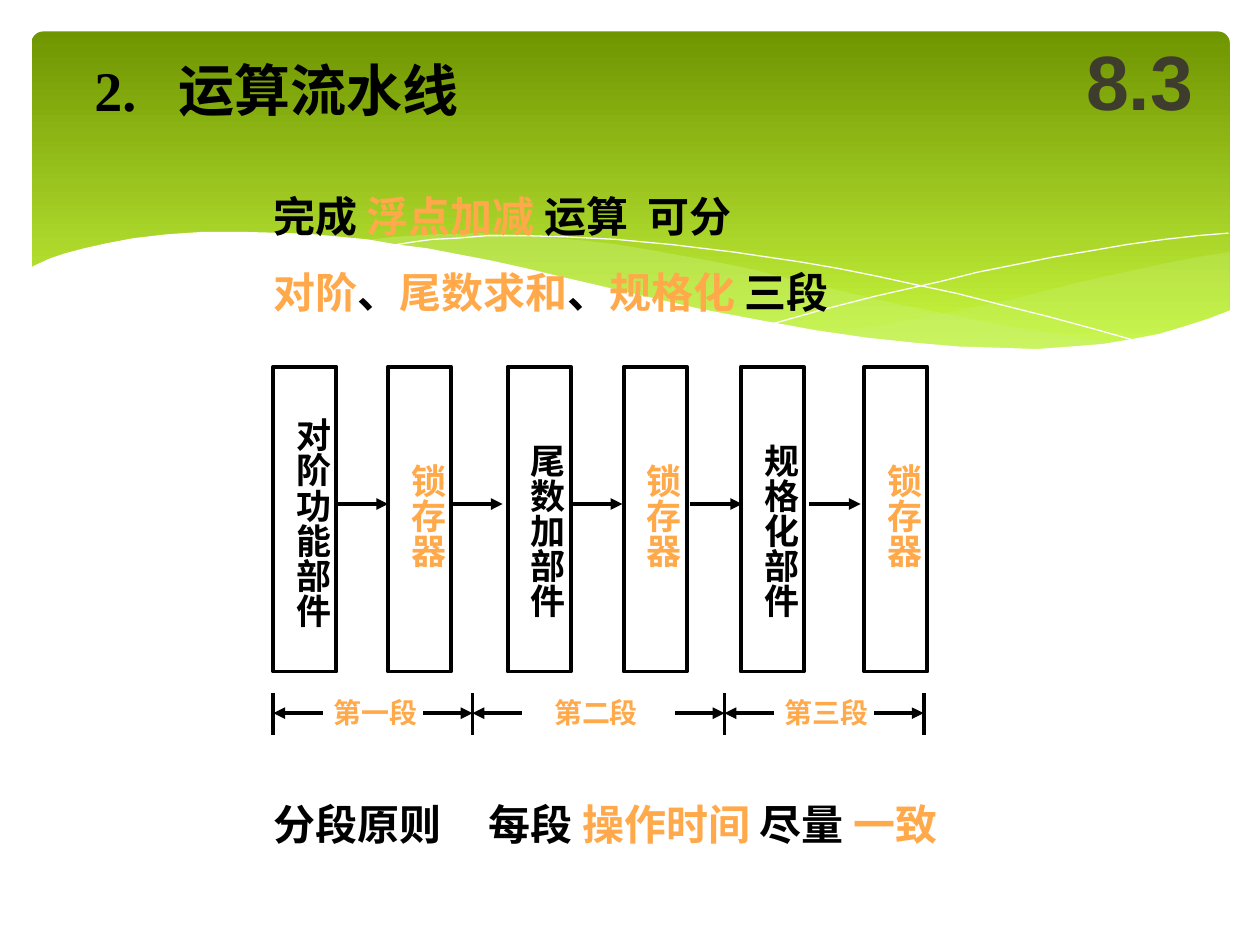
import pptx
import pptx.dml.color
import pptx.enum.shapes
import pptx.enum.text
import pptx.oxml
import pptx.oxml.ns
import pptx.util
from pptx.util import Inches

BLACK = pptx.dml.color.RGBColor(0x00, 0x00, 0x00)
WHITE = pptx.dml.color.RGBColor(0xFF, 0xFF, 0xFF)
ORANGE = pptx.dml.color.RGBColor(0xFF, 0xA9, 0x4A)
DARK_GREEN = pptx.dml.color.RGBColor(0x6F, 0x95, 0x00)
LIGHT_GREEN = pptx.dml.color.RGBColor(0xD0, 0xFF, 0x44)
PALE_GREEN = pptx.dml.color.RGBColor(0xCA, 0xF2, 0x78)
GREY = pptx.dml.color.RGBColor(0x3E, 0x3D, 0x2D)

MIDDLE = pptx.enum.text.MSO_ANCHOR.MIDDLE
SIDELESS = (0, 0.05, 0, 0.05)
PADDED = (0.1, 0.05, 0.1, 0.05)
UPRIGHT = (0.05, 0.05, 0.05, 0.05)

RIGHT_HILL = [
    (9.76, 2), (9.62, 2.02), (9.35, 2.07), (9.06, 2.13), (8.61, 2.23), (8.05, 2.37),
    (7.53, 2.48), (7.06, 2.57), (6.61, 2.65), (6.91, 2.69), (7.18, 2.73), (7.45, 2.75),
    (7.69, 2.77), (8.03, 2.78), (8.35, 2.77), (8.63, 2.75), (8.89, 2.72), (9.13, 2.67),
    (9.35, 2.62), (9.49, 2.57), (9.63, 2.52), (9.76, 2.47)]
MIDDLE_HILL = [
    (8.93, 2.73), (8.66, 2.69), (8.37, 2.65), (8.07, 2.6), (7.75, 2.54), (7.41, 2.47),
    (7.06, 2.4), (6.68, 2.31), (6.29, 2.22), (5.98, 2.14), (5.69, 2.08), (5.41, 2.03),
    (5.14, 1.98), (4.89, 1.94), (4.64, 1.91), (4.41, 1.89), (4.2, 1.87), (3.8, 1.85),
    (3.44, 1.86), (3.13, 1.88), (2.86, 1.91), (3.23, 1.96), (3.62, 2.03), (4.04, 2.11),
    (4.49, 2.22), (4.91, 2.32), (5.3, 2.4), (5.66, 2.48), (6.01, 2.55), (6.34, 2.61),
    (6.65, 2.66), (6.95, 2.7), (7.22, 2.74), (7.48, 2.76), (7.85, 2.78), (8.18, 2.79),
    (8.48, 2.78), (8.76, 2.75)]
FALLING_CURVE = [
    (3.09, 1.95), (3.28, 1.92), (3.43, 1.9), (3.63, 1.89), (3.87, 1.87), (4.16, 1.87),
    (4.5, 1.88), (4.89, 1.9), (5.32, 1.94), (5.82, 2), (6.36, 2.08), (6.65, 2.13),
    (6.95, 2.19), (7.27, 2.26), (7.6, 2.33), (7.95, 2.42), (8.31, 2.51), (8.68, 2.61),
    (9.07, 2.72)]
RISING_CURVE = [
    (6.13, 2.57), (6.52, 2.46), (6.95, 2.35), (7.48, 2.23), (7.76, 2.16), (8.06, 2.1),
    (8.36, 2.04), (8.66, 1.99), (8.95, 1.94), (9.24, 1.9), (9.51, 1.87), (9.75, 1.85)]
WHITE_WAVE = [
    (9.77, 2.46), (9.59, 2.53), (9.4, 2.59), (9.2, 2.65), (8.99, 2.69), (8.75, 2.73),
    (8.5, 2.75), (8.23, 2.77), (7.93, 2.76), (7.61, 2.75), (7.26, 2.72), (6.88, 2.68),
    (6.47, 2.62), (6.03, 2.54), (5.55, 2.45), (5.03, 2.33), (4.47, 2.2), (4.18, 2.13),
    (3.91, 2.07), (3.65, 2.02), (3.39, 1.97), (3.15, 1.94), (2.92, 1.9), (2.71, 1.88),
    (2.5, 1.86), (2.3, 1.85), (1.93, 1.84), (1.61, 1.84), (1.32, 1.86), (1.06, 1.89),
    (0.85, 1.93), (0.67, 1.97), (0.52, 2.01), (0.4, 2.05), (0.29, 2.1), (0.23, 2.13),
    (0.23, 3.29), (9.77, 3.29)]

UNITS = [
    (2.17, 3.22, "对阶功能部件", BLACK), (3.08, 3.58, "锁存器", ORANGE),
    (4.03, 3.42, "尾数加部件", BLACK), (4.95, 3.58, "锁存器", ORANGE),
    (5.88, 3.42, "规格化部件", BLACK), (6.86, 3.58, "锁存器", ORANGE)]
FLOW_STARTS = [2.67, 3.58, 4.53, 5.48, 6.42]
STAGE_EDGES = [2.17, 3.75, 5.75, 7.33]
STAGE_LABELS = [(2.55, "第一段"), (4.3, "第二段"), (6.13, "第三段")]


def add_header_panel(slide):
    """Draw the rounded green panel behind the heading."""
    panel = slide.shapes.add_shape(
        pptx.enum.shapes.MSO_SHAPE.ROUNDED_RECTANGLE,
        Inches(0.25), Inches(0.25), Inches(9.51), Inches(2.7))
    panel.adjustments[0] = 0.034
    panel.shadow.inherit = False
    panel.line.fill.background()
    panel.fill.gradient()
    panel.fill.gradient_angle = 270
    stops = panel.fill.gradient_stops
    for stop, position, color in zip(stops, (0, 1), (DARK_GREEN, LIGHT_GREEN)):
        stop.position = position
        stop.color.rgb = color


def add_outline(slide, points, closed):
    """Build a freeform through points given in inches."""
    corners = [(Inches(x), Inches(y)) for x, y in points]
    builder = slide.shapes.build_freeform(*corners[0])
    builder.add_line_segments(corners[1:], close=closed)
    outline = builder.convert_to_shape()
    outline.shadow.inherit = False
    return outline


def add_hill(slide, points, color, opacity=100):
    """Draw a filled wave of the given opacity in percent."""
    hill = add_outline(slide, points, True)
    hill.line.fill.background()
    hill.fill.solid()
    hill.fill.fore_color.rgb = color
    if opacity < 100:
        tint = hill._element.spPr.find(".//" + pptx.oxml.ns.qn("a:srgbClr"))
        tint.append(pptx.oxml.parse_xml(
            f'<a:alpha {pptx.oxml.ns.nsdecls("a")} val="{opacity * 1000}"/>'))


def add_curve(slide, points):
    """Draw a white hairline curve."""
    curve = add_outline(slide, points, False)
    curve.fill.background()
    curve.line.color.rgb = WHITE
    curve.line.width = pptx.util.Pt(0)


def add_text(slide, box, lines, size, margins, anchor=None, wrap=True,
             font="Times New Roman", spacing=None, tab=None):
    """Add a bold text box; each line is a list of (wording, colour) runs."""
    words = slide.shapes.add_textbox(*(Inches(length) for length in box))
    frame = words.text_frame
    frame.word_wrap = wrap
    if not wrap:
        frame.auto_size = pptx.enum.text.MSO_AUTO_SIZE.SHAPE_TO_FIT_TEXT
    frame.vertical_anchor = anchor
    (frame.margin_left, frame.margin_top,
     frame.margin_right, frame.margin_bottom) = (Inches(m) for m in margins)
    for index, runs in enumerate(lines):
        paragraph = frame.add_paragraph() if index else frame.paragraphs[0]
        paragraph.line_spacing = spacing
        if tab:
            paragraph._p.get_or_add_pPr().append(pptx.oxml.parse_xml(
                f'<a:tabLst {pptx.oxml.ns.nsdecls("a")}>'
                f'<a:tab pos="{Inches(tab)}" algn="l"/></a:tabLst>'))
        for wording, color in runs:
            run = paragraph.add_run()
            run.text = wording
            run.font.size = pptx.util.Pt(size)
            run.font.name = font
            run.font.bold = True
            run.font.color.rgb = color
    return frame


def add_unit(slide, left, label_top, label, color):
    """Draw one pipeline unit with its vertical label."""
    height = 0.28 * len(label) + 0.1
    frame = add_text(slide, (left, label_top, 0.53, height), [[(label, color)]],
                     20, UPRIGHT, wrap=False)
    frame._txBody.bodyPr.set("vert", "eaVert")
    unit = slide.shapes.add_shape(
        pptx.enum.shapes.MSO_SHAPE.RECTANGLE,
        Inches(left), Inches(2.91), Inches(0.5), Inches(2.42))
    unit.shadow.inherit = False
    unit.fill.background()
    unit.line.color.rgb = BLACK
    unit.line.width = pptx.util.Pt(2.25)


def add_line(slide, start, end, arrow=True):
    """Draw a black line, with an arrowhead at its end if wanted."""
    line = slide.shapes.add_connector(
        pptx.enum.shapes.MSO_CONNECTOR.STRAIGHT,
        *(Inches(length) for length in (*start, *end)))
    line.line.color.rgb = BLACK
    line.line.width = pptx.util.Pt(2.25)
    namespace = pptx.oxml.ns.nsdecls("a")
    if arrow:
        line.line._get_or_add_ln().append(
            pptx.oxml.parse_xml(f'<a:tailEnd {namespace} type="triangle"/>'))
    line._element.spPr.append(pptx.oxml.parse_xml(f"<a:effectLst {namespace}/>"))


def add_backdrop(slide):
    """Draw the green header with its waves."""
    add_header_panel(slide)
    add_hill(slide, RIGHT_HILL, PALE_GREEN, 29)
    add_hill(slide, MIDDLE_HILL, PALE_GREEN, 40)
    add_curve(slide, FALLING_CURVE)
    add_curve(slide, RISING_CURVE)
    add_hill(slide, WHITE_WAVE, WHITE)


def add_pipeline(slide):
    """Draw the units, the flow between them and the stage spans."""
    for unit in UNITS:
        add_unit(slide, *unit)
    for start in FLOW_STARTS:
        add_line(slide, (start, 4), (start + 0.41, 4))
    for edge in STAGE_EDGES:
        add_line(slide, (edge, 5.5), (edge, 5.83), arrow=False)
    for left, right in zip(STAGE_EDGES, STAGE_EDGES[1:]):
        add_line(slide, (left + 0.39, 5.66), (left, 5.66))
        add_line(slide, (right - 0.39, 5.66), (right, 5.66))
    for left, label in STAGE_LABELS:
        add_text(slide, (left, 5.47, 0.88, 0.37), [[(label, ORANGE)]], 16, PADDED,
                 wrap=False)


def main():
    """Build the slide and save it."""
    deck = pptx.Presentation()
    deck.slide_width, deck.slide_height = Inches(10), Inches(7.5)
    slide = deck.slides.add_slide(deck.slide_layouts[6])
    add_backdrop(slide)
    add_text(slide, (0.75, 0.42, 3.67, 0.58), [[("2.\t运算流水线", BLACK)]],
             32, SIDELESS, MIDDLE, tab=0.67)
    add_text(slide, (2.17, 1.25, 7.08, 1.33), [
        [("完成 ", BLACK), ("浮点加减 ", ORANGE), ("运算\t可分", BLACK)],
        [("对阶", ORANGE), ("、", BLACK), ("尾数求和", ORANGE), ("、", BLACK),
         ("规格化 ", ORANGE), ("三段", BLACK)],
    ], 24, SIDELESS, MIDDLE, spacing=1.5, tab=2.97)
    add_text(slide, (2.17, 6.25, 6.25, 0.58), [
        [("分段原则\t每段 ", BLACK), ("操作时间 ", ORANGE), ("尽量 ", BLACK),
         ("一致", ORANGE)],
    ], 24, SIDELESS, MIDDLE, tab=1.71)
    add_pipeline(slide)
    section = add_text(slide, (8.42, 0.17, 1.25, 0.92), [[("8.3", GREY)]],
                       44, PADDED, MIDDLE, font="Arial")
    section.paragraphs[0].alignment = pptx.enum.text.PP_ALIGN.CENTER
    deck.save("out.pptx")


if __name__ == "__main__":
    main()
